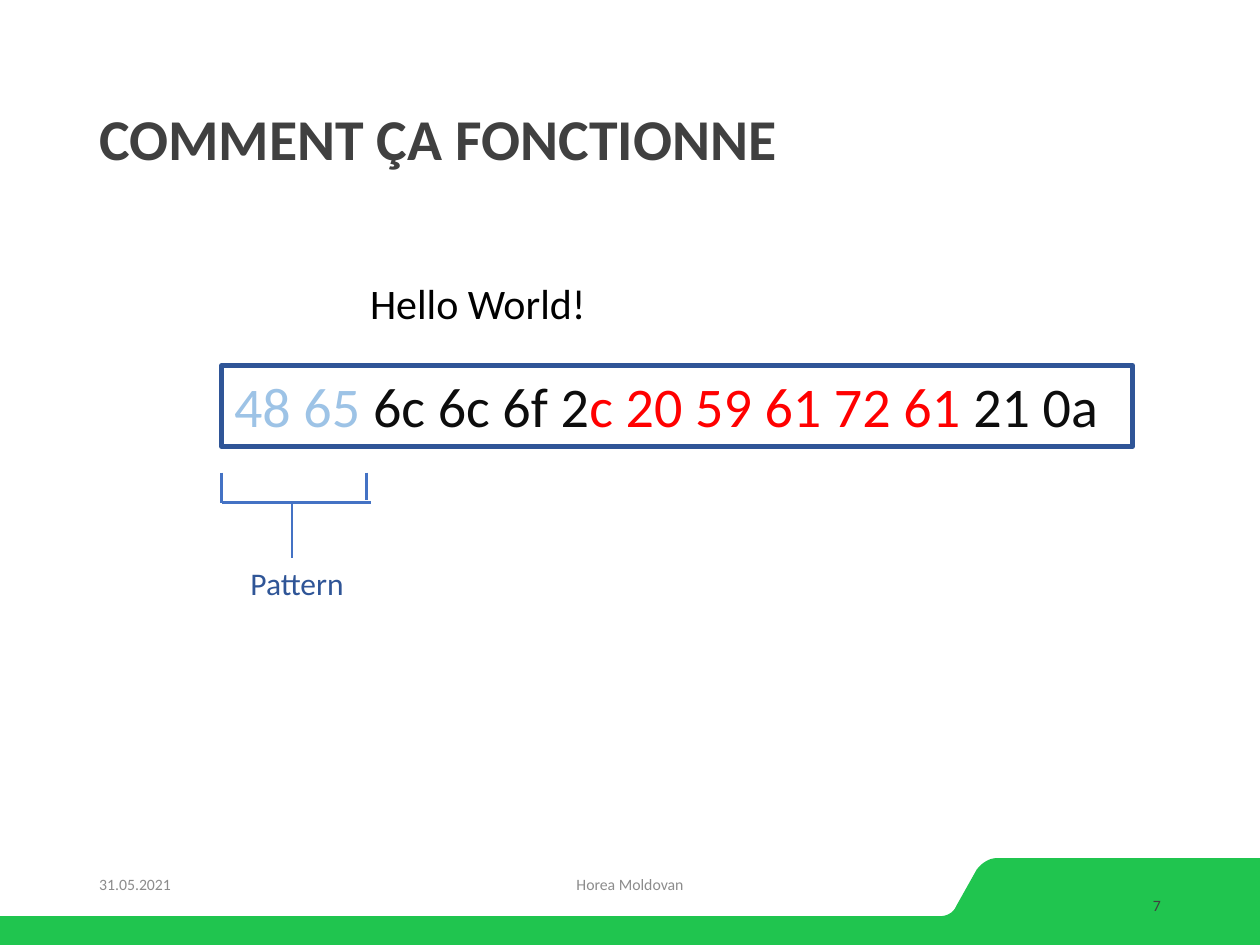
from dataclasses import dataclass

from lxml.etree import SubElement
from pptx import Presentation
from pptx.dml.color import RGBColor
from pptx.enum.shapes import MSO_CONNECTOR
from pptx.enum.text import MSO_ANCHOR as Anchor, MSO_AUTO_SIZE as AutoSize, PP_ALIGN as Align
from pptx.oxml.ns import qn
from pptx.shapes.autoshape import Shape
from pptx.shapes.shapetree import SlideShapes
from pptx.util import Cm, Pt

GREEN = RGBColor(0x20, 0xC5, 0x4F)
CHARCOAL = RGBColor(0x40, 0x40, 0x40)
GREY = RGBColor(0x8C, 0x8C, 0x8C)
BLACK = RGBColor(0x00, 0x00, 0x00)
INK = RGBColor(0x0D, 0x0D, 0x0D)
RED = RGBColor(0xFF, 0x00, 0x00)
NAVY = RGBColor(0x2F, 0x55, 0x97)
BLUE = RGBColor(0x44, 0x72, 0xC4)
SKY = RGBColor(0x9D, 0xC3, 0xE6)

FONT = "Calibri"
SLIDE_WIDTH, SLIDE_HEIGHT = 25.4, 19.05
CURVE_STEPS = 12

Point = tuple[float, float]


@dataclass(frozen=True)
class Piece:
    text: str
    color: RGBColor


@dataclass(frozen=True)
class Label:
    left: float
    top: float
    width: float
    height: float
    size: float
    pieces: tuple[Piece, ...]
    align: Align = Align.LEFT
    fixed: bool = False
    bold: bool = False
    line_spacing: float = 1.0


@dataclass(frozen=True)
class Stroke:
    start: Point
    end: Point


def add_label(shapes: SlideShapes, label: Label) -> Shape:
    box = shapes.add_textbox(
        Cm(label.left), Cm(label.top), Cm(label.width), Cm(label.height)
    )
    frame = box.text_frame
    frame.word_wrap = label.fixed
    frame.auto_size = AutoSize.NONE if label.fixed else AutoSize.SHAPE_TO_FIT_TEXT
    frame.vertical_anchor = Anchor.MIDDLE if label.fixed else Anchor.TOP
    paragraph = frame.paragraphs[0]
    paragraph.alignment = label.align
    paragraph.line_spacing = label.line_spacing
    for piece in label.pieces:
        run = paragraph.add_run()
        run.text = piece.text
        run.font.name = FONT
        run.font.size = Pt(label.size)
        run.font.bold = label.bold
        run.font.color.rgb = piece.color
    return box


def add_stroke(shapes: SlideShapes, stroke: Stroke) -> None:
    line = shapes.add_connector(
        MSO_CONNECTOR.STRAIGHT, *(Cm(value) for value in stroke.start + stroke.end)
    )
    line.line.color.rgb = BLUE
    line.line.width = Pt(1.5)
    SubElement(line._element.spPr, qn("a:effectLst"))


def curve(p0: Point, p1: Point, p2: Point, p3: Point) -> list[Point]:
    points = []
    for step in range(CURVE_STEPS + 1):
        t = step / CURVE_STEPS
        weights = ((1 - t) ** 3, 3 * t * (1 - t) ** 2, 3 * t**2 * (1 - t), t**3)
        x, y = (
            sum(w * v for w, v in zip(weights, values))
            for values in zip(p0, p1, p2, p3)
        )
        points.append((x, y))
    return points


def add_footer_band(shapes: SlideShapes) -> None:
    tab_top, band_top = 17.3, 18.47
    outline = [
        *curve((20.09, tab_top), (19.94, tab_top), (19.79, 17.4), (19.69, 17.53)),
        *curve((19.28, 18.26), (19.23, 18.39), (19.1, band_top), (18.95, band_top)),
        (0, band_top),
        (0, SLIDE_HEIGHT),
        (SLIDE_WIDTH, SLIDE_HEIGHT),
        (SLIDE_WIDTH, tab_top),
    ]
    corners = [(Cm(x), Cm(y)) for x, y in outline]
    builder = shapes.build_freeform(*corners[0])
    builder.add_line_segments(corners[1:], close=True)
    band = builder.convert_to_shape()
    band.shadow.inherit = False
    band.fill.solid()
    band.fill.fore_color.rgb = GREEN
    band.line.fill.background()


TITLE = Label(
    1.75, 1.02, 21.9, 3.68, 33, (Piece("COMMENT ÇA FONCTIONNE", CHARCOAL),),
    fixed=True, bold=True, line_spacing=0.9,
)
FOOTERS = (
    Label(1.75, 17.32, 5.72, 1.02, 9, (Piece("31.05.2021", GREY),), fixed=True),
    Label(8.41, 17.32, 8.58, 1.02, 9, (Piece("Horea Moldovan", GREY),), Align.CENTER, True),
    Label(17.93, 17.73, 5.72, 1.02, 9, (Piece("7", CHARCOAL),), Align.RIGHT, True),
)
HEX_BYTES = Label(
    4.47, 7.37, 18.36, 1.63, 32,
    (
        Piece("48 65 ", SKY),
        Piece("6c 6c 6f 2", INK),
        Piece("c 20 59 61 72 61 ", RED),
        Piece("21 0a", INK),
    ),
)
GREETING = Label(7.21, 5.46, 4.9, 1.27, 24, (Piece("Hello World!", BLACK),))
PATTERN = Label(4.8, 11.25, 2.41, 1.02, 18, (Piece("Pattern", NAVY),))

BRACKET_LEFT, BRACKET_TOP, BRACKET_BASE = 4.47, 9.53, 10.13
BRACKET = (
    Stroke((BRACKET_LEFT, BRACKET_BASE), (7.47, BRACKET_BASE)),
    Stroke((BRACKET_LEFT, BRACKET_TOP), (BRACKET_LEFT, BRACKET_BASE)),
    Stroke((7.39, BRACKET_TOP), (7.39, 10.08)),
    Stroke((5.89, BRACKET_BASE), (5.89, PATTERN.top)),
)


def main() -> None:
    deck = Presentation()
    deck.slide_width, deck.slide_height = Cm(SLIDE_WIDTH), Cm(SLIDE_HEIGHT)
    shapes = deck.slides.add_slide(deck.slide_layouts[6]).shapes

    add_footer_band(shapes)
    for label in (TITLE, *FOOTERS):
        add_label(shapes, label)
    hex_frame = add_label(shapes, HEX_BYTES)
    hex_frame.line.color.rgb = NAVY
    hex_frame.line.width = Pt(3)
    add_label(shapes, GREETING)
    for stroke in BRACKET:
        add_stroke(shapes, stroke)
    add_label(shapes, PATTERN)

    deck.save("out.pptx")


if __name__ == "__main__":
    main()
